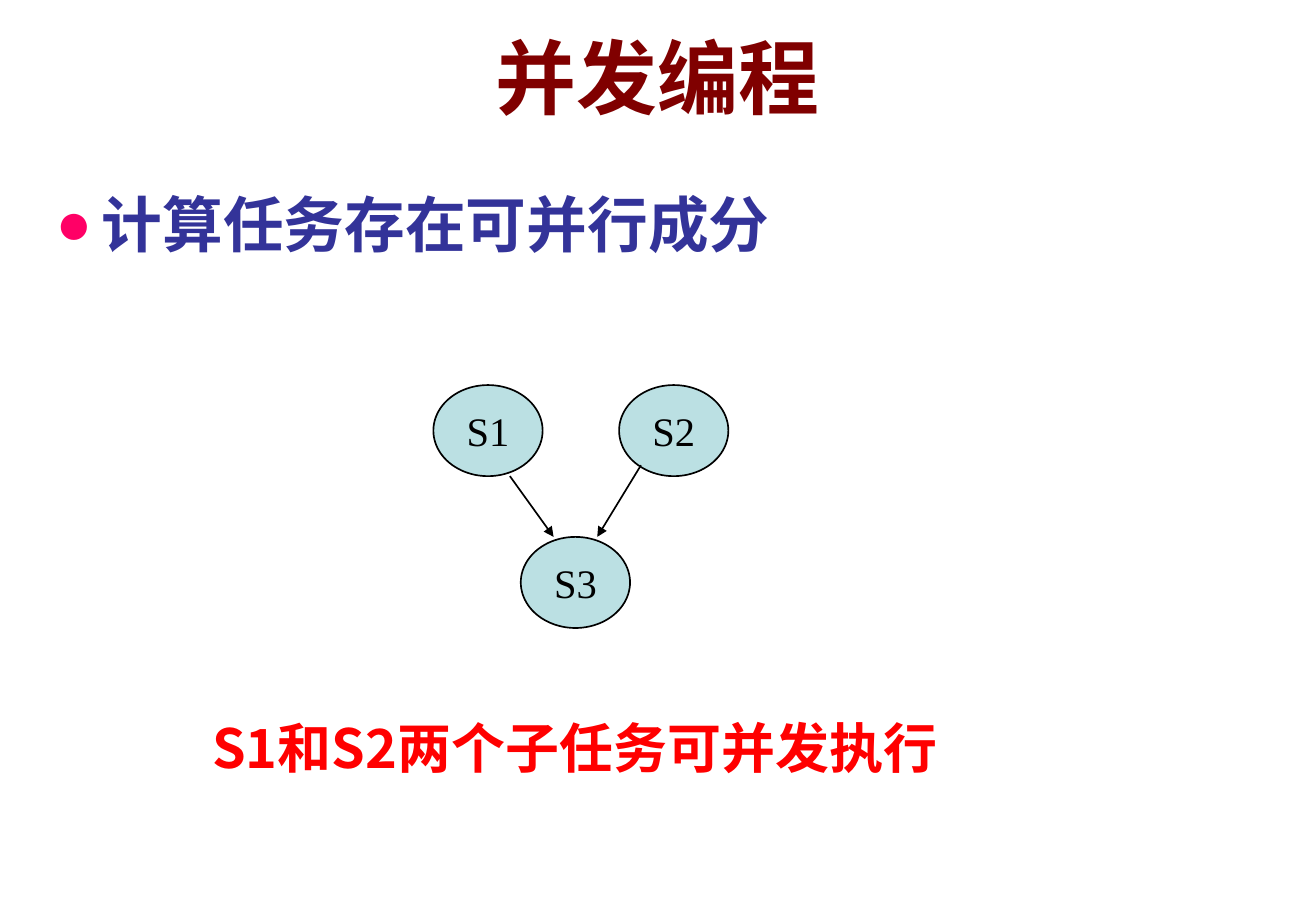
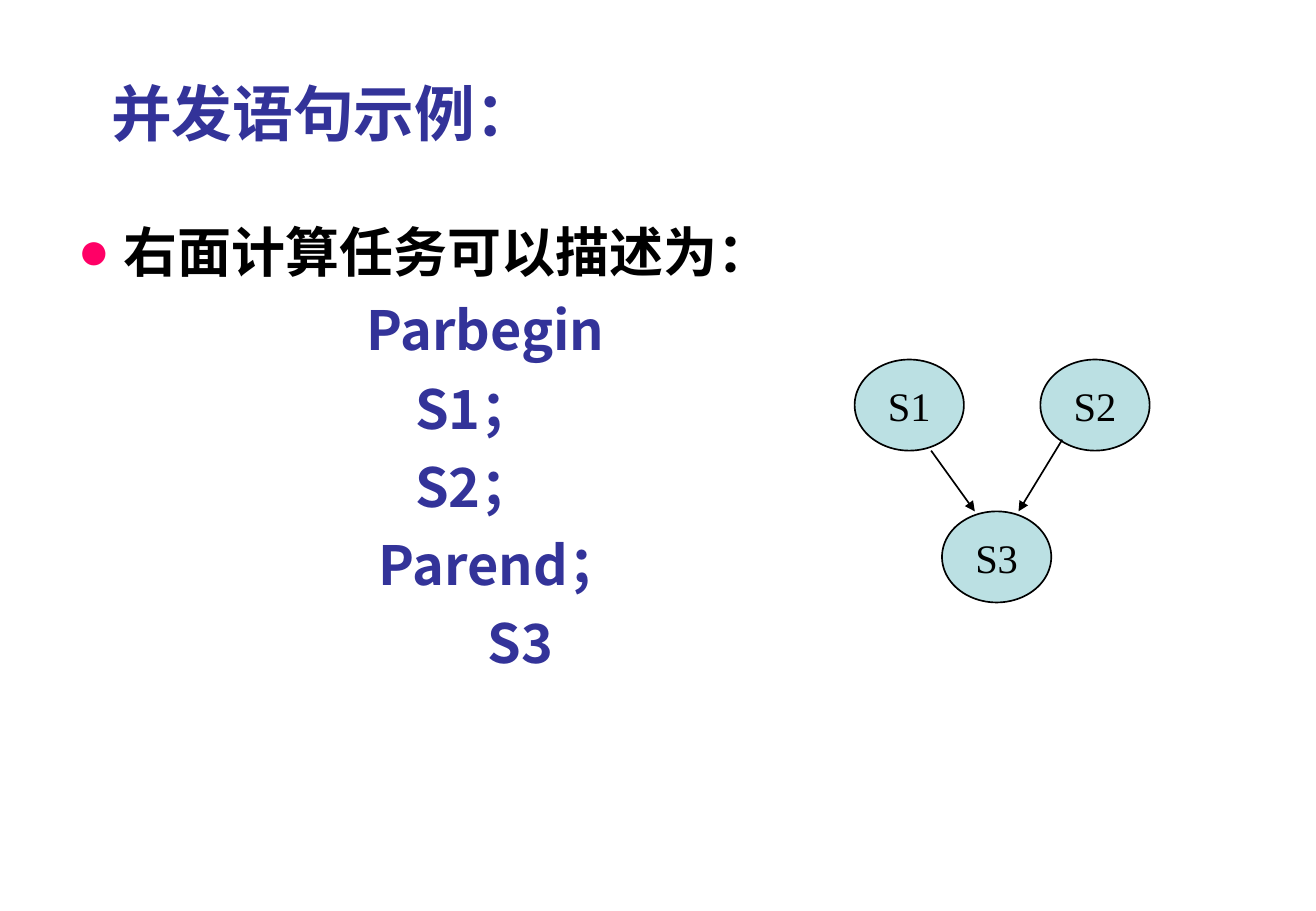
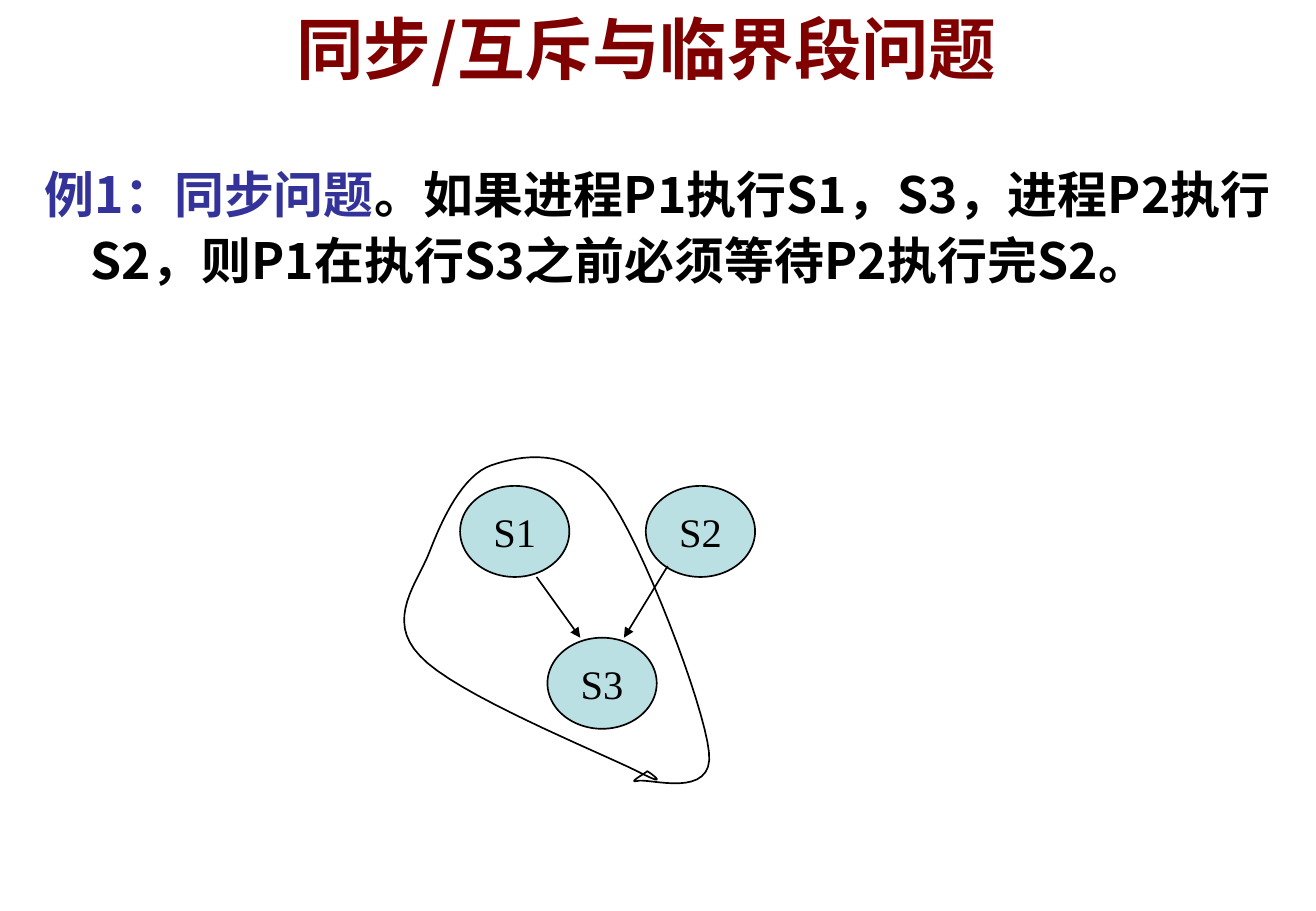
from lxml.etree import SubElement
from pptx import Presentation
from pptx.dml.color import RGBColor
from pptx.enum.shapes import MSO_CONNECTOR, MSO_SHAPE
from pptx.enum.text import MSO_ANCHOR, MSO_AUTO_SIZE, PP_ALIGN
from pptx.oxml.ns import qn
from pptx.util import Inches, Pt

MAROON = RGBColor(0x80, 0x00, 0x00)
NAVY = RGBColor(0x33, 0x33, 0x99)
RED = RGBColor(0xFF, 0x00, 0x00)
BLACK = RGBColor(0x00, 0x00, 0x00)
AQUA = RGBColor(0xBB, 0xE0, 0xE3)
BULLET_PINK = "FF0066"
CJK_FONT = "Noto Sans CJK SC"
TITLE_FONT = "Arial"
NODE_FONT = "Times New Roman"
LINE_HEIGHT = 1.2
HANGING = 0.38

NODES = [("S1", 0, 0), ("S3", 0.72, 1.25), ("S2", 1.53, 0)]
ARROWS = [((0.63, 0.75), (0.99, 1.25)), ((1.71, 0.66), (1.35, 1.25))]

LOOP_START = (5.25, 6.35)
LOOP_CURVES = [
    ((4.93, 6.19), (3.74, 5.71), (3.46, 5.4)),
    ((3.17, 5.1), (3.44, 4.8), (3.54, 4.54)),
    ((3.64, 4.28), (3.81, 3.91), (4.05, 3.83)),
    ((4.29, 3.75), (4.69, 3.67), (4.99, 4.06)),
    ((5.29, 4.46), (5.8, 5.8), (5.84, 6.19)),
    ((5.89, 6.59), (5.33, 6.4), (5.25, 6.43)),
    ((5.16, 6.45), (5.33, 6.36), (5.33, 6.35)),
    ((5.33, 6.34), (5.56, 6.51), (5.25, 6.35)),
]


def style_span(span, size, color, bold=True, font=CJK_FONT):
    """Format one run, with the shared East Asian font."""
    span.font.name = font
    span.font.size = Pt(size)
    span.font.bold = bold
    span.font.color.rgb = color
    SubElement(span._r.get_or_add_rPr(), qn("a:ea"), typeface=CJK_FONT)


def add_title(deck, text, left, top, width, size, color=MAROON, font=TITLE_FONT):
    """Add a title-only page and place its centred title."""
    page = deck.slides.add_slide(deck.slide_layouts[5])
    title = page.shapes.title
    title.left, title.top = Inches(left), Inches(top)
    title.width, title.height = Inches(width), Inches(1.25)
    frame = title.text_frame
    frame.text = text
    frame.auto_size = MSO_AUTO_SIZE.NONE
    frame.vertical_anchor = MSO_ANCHOR.MIDDLE
    para = frame.paragraphs[0]
    para.alignment = PP_ALIGN.CENTER
    style_span(para.runs[0], size, color, font=font)
    return page


def add_text_box(page, left, top, width, height):
    """Add a wrapping text box and return its frame."""
    box = page.shapes.add_textbox(Inches(left), Inches(top), Inches(width), Inches(height))
    box.text_frame.word_wrap = True
    return box.text_frame


def fill_para(para, spans, size, margin=0, indent=0, bullet=False, spacing=LINE_HEIGHT):
    """Fill a paragraph with coloured spans, indents and an optional bullet."""
    properties = para._p.get_or_add_pPr()
    properties.set("marL", str(Inches(margin)))
    properties.set("indent", str(Inches(indent)))
    if bullet:
        color = SubElement(properties, qn("a:buClr"))
        SubElement(color, qn("a:srgbClr"), val=BULLET_PINK)
        SubElement(properties, qn("a:buFont"), typeface=TITLE_FONT)
        SubElement(properties, qn("a:buChar"), char="●")
    para.line_spacing = Pt(round(size * spacing, 1))
    for text, color in spans:
        span = para.add_run()
        span.text = text
        style_span(span, size, color)


def add_node(page, label, left, top):
    """Add one labelled task ellipse."""
    node = page.shapes.add_shape(
        MSO_SHAPE.OVAL, Inches(left), Inches(top), Inches(0.9), Inches(0.75)
    )
    node.shadow.inherit = False
    node.fill.solid()
    node.fill.fore_color.rgb = AQUA
    node.line.color.rgb = BLACK
    node.line.width = Pt(1)
    frame = node.text_frame
    frame.text = label
    frame.word_wrap = False
    frame.vertical_anchor = MSO_ANCHOR.MIDDLE
    frame.paragraphs[0].alignment = PP_ALIGN.CENTER
    style_span(frame.paragraphs[0].runs[0], 24, BLACK, bold=False, font=NODE_FONT)


def add_arrow(page, start, end):
    """Add a thin straight arrow between two points."""
    arrow = page.shapes.add_connector(
        MSO_CONNECTOR.STRAIGHT, *(Inches(value) for value in (*start, *end))
    )
    arrow.line.color.rgb = BLACK
    arrow.line.width = Pt(1)
    SubElement(arrow.line._get_or_add_ln(), qn("a:tailEnd"), type="triangle", w="med", len="med")
    SubElement(arrow._element.spPr, qn("a:effectLst"))


def add_task_graph(page, left, top):
    """Draw the graph in which S1 and S2 both precede S3."""
    for label, x, y in NODES:
        add_node(page, label, left + x, top + y)
    for start, end in ARROWS:
        add_arrow(page, *((left + x, top + y) for x, y in (start, end)))


def curve_points(start, curves, steps=16):
    """Yield points along a chain of cubic curves."""
    for first, second, end in curves:
        for step in range(1, steps + 1):
            t = step / steps
            weights = ((1 - t) ** 3, 3 * t * (1 - t) ** 2, 3 * t * t * (1 - t), t ** 3)
            corners = (start, first, second, end)
            yield tuple(
                Inches(sum(w * corner[axis] for w, corner in zip(weights, corners)))
                for axis in (0, 1)
            )
        start = end


def add_process_loop(page):
    """Draw the hand-drawn outline around S1 and S3."""
    builder = page.shapes.build_freeform(*(Inches(value) for value in LOOP_START))
    builder.add_line_segments(list(curve_points(LOOP_START, LOOP_CURVES)), close=True)
    loop = builder.convert_to_shape()
    loop.shadow.inherit = False
    loop.fill.background()
    loop.line.color.rgb = BLACK
    loop.line.width = Pt(1)


def build_concurrency(deck):
    """Build the page on concurrent programming."""
    page = add_title(deck, "并发编程", 0.54, 0, 9.75, 48)
    heading = add_text_box(page, 0.36, 1.49, 9.75, 1.43)
    fill_para(heading.paragraphs[0], [("计算任务存在可并行成分", NAVY)], 36,
              HANGING, -HANGING, bullet=True)
    note = add_text_box(page, 1.65, 5.83, 8.46, 0.64)
    fill_para(note.paragraphs[0], [("S1和S2两个子任务可并发执行", RED)], 32)
    add_task_graph(page, 3.57, 3.17)


def build_statement(deck):
    """Build the page with the concurrent statement example."""
    page = add_title(deck, "并发语句示例：", 0.54, 0.3, 4.25, 36, NAVY)
    body = add_text_box(page, 0.54, 1.75, 6.28, 4.95)
    fill_para(body.paragraphs[0], [("右面计算任务可以描述为：", BLACK)], 32,
              HANGING, -HANGING, bullet=True)
    code = [("Parbegin", 2.38), ("S1；", 2.78), ("S2；", 2.78), ("Parend；", 2.48), ("S3", 3.38)]
    for text, margin in code:
        para = body.add_paragraph()
        fill_para(para, [(text, NAVY)], 32, margin)
        para.space_before = Pt(8)
    add_task_graph(page, 7.04, 2.96)


def build_synchronization(deck):
    """Build the page on the synchronization problem."""
    page = add_title(deck, "同步/互斥与临界段问题", 0.45, -0.23, 9.75, 40, font=CJK_FONT)
    body = add_text_box(page, 0.27, 1.25, 10.39, 1.83)
    spans = [
        ("例1：同步问题", NAVY),
        ("。如果进程P1执行S1，S3，进程P2执行S2，则P1在执行S3之前必须等待P2执行完S2。", BLACK),
    ]
    fill_para(body.paragraphs[0], spans, 29.6, HANGING, -HANGING, spacing=1.1 * LINE_HEIGHT)
    add_task_graph(page, 3.79, 4)
    add_process_loop(page)


def main():
    """Build and save the deck."""
    deck = Presentation()
    deck.slide_width, deck.slide_height = Inches(10.84), Inches(7.5)
    build_concurrency(deck)
    build_statement(deck)
    build_synchronization(deck)
    deck.save("out.pptx")


if __name__ == "__main__":
    main()
